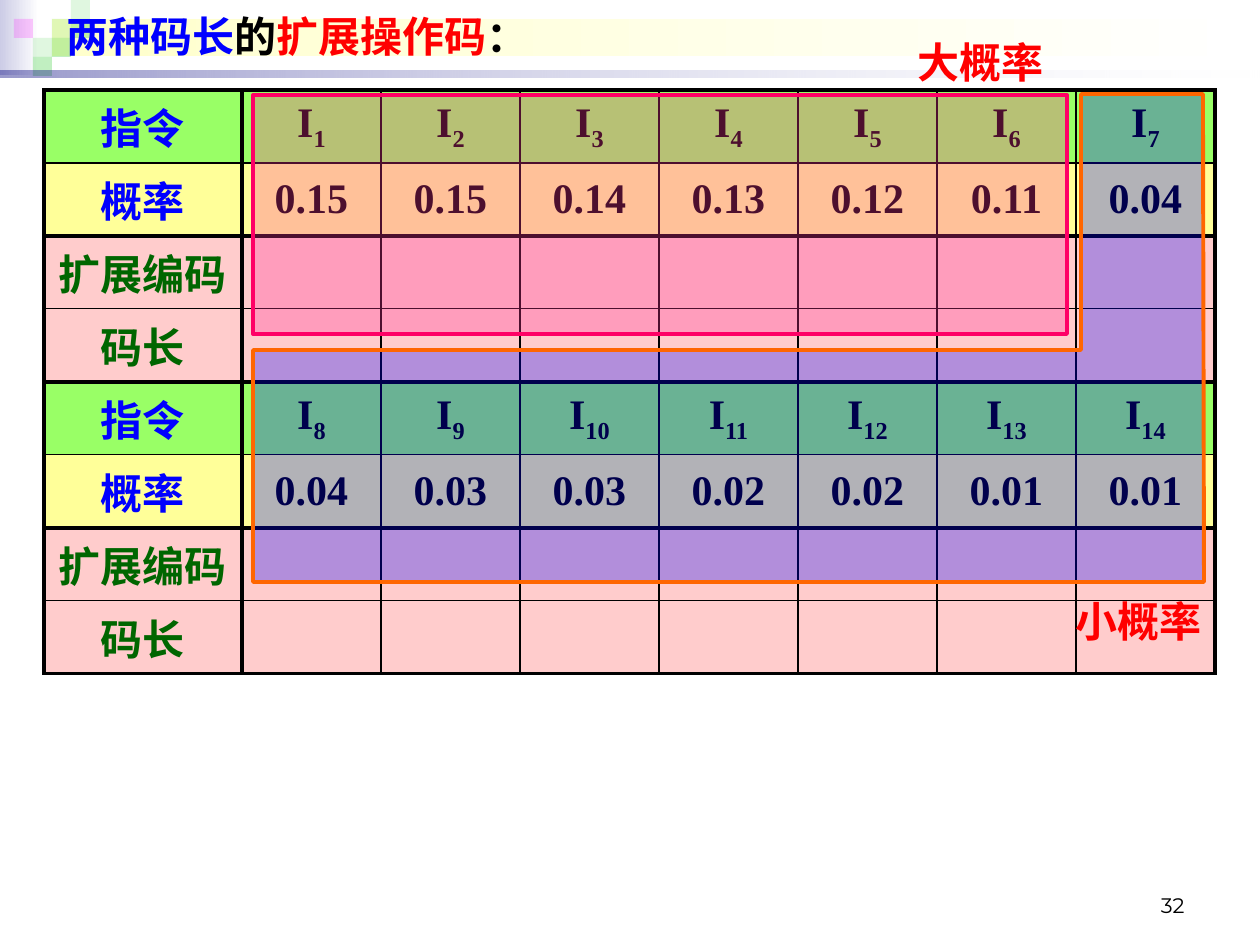
import pptx
import pptx.dml.color
import pptx.enum.shapes
import pptx.enum.text
import pptx.oxml
import pptx.oxml.ns
import pptx.util

SCALE = 914400 / 126
COLORS = {
    "blue": "0000FF", "red": "FF0000", "black": "000000", "white": "FFFFFF",
    "green": "006600", "lime": "99FF66", "yellow": "FFFF99", "pink": "FFCCCC",
    "leaf": "33CC33", "violet": "FF00FF", "haze": "CCCCE6", "cream": "FFFFCC",
    "navy": "00007D", "orange": "FF6600", "rose": "FF3399", "crimson": "FF0066",
}
SERIF = "Times New Roman"
ALIGN = pptx.enum.text.PP_ALIGN
ANCHOR = pptx.enum.text.MSO_ANCHOR

# Label, label colour and fill of the four rows in each half of the table
KINDS = [("指令", "blue", "lime"), ("概率", "blue", "yellow"),
         ("扩展编码", "green", "pink"), ("码长", "green", "pink")]
ODDS = ["0.15", "0.15", "0.14", "0.13", "0.12", "0.11", "0.04",
        "0.04", "0.03", "0.03", "0.02", "0.02", "0.01", "0.01"]
COLS = 7
THICK, MID, THIN = 2.25, 1, 0.75

# Small squares in the header: left, top, colour, opacity
TILES = [(52, 19, "leaf", 15), (71, 0, "leaf", 15), (71, 19, "leaf", 30),
         (33, 38, "leaf", 15), (14, 19, "violet", 20), (52, 38, "leaf", 30),
         (33, 57, "leaf", 30)]


def px(n):
    return pptx.util.Emu(round(n * SCALE))


def rgb(name):
    return pptx.dml.color.RGBColor.from_string(COLORS[name])


def fade(node, alpha):
    """Set the opacity, in percent, of the colour inside node."""
    color = next(node.iter(pptx.oxml.ns.qn("a:srgbClr")))
    color.append(pptx.oxml.parse_xml(
        f'<a:alpha {pptx.oxml.ns.nsdecls("a")} val="{alpha * 1000}"/>'))


def paint(shape, color, alpha=100, line=None):
    shape.shadow.inherit = False
    shape.fill.solid()
    shape.fill.fore_color.rgb = rgb(color)
    if alpha < 100:
        fade(shape.fill._xPr, alpha)
    if line:
        shape.line.color.rgb = rgb(line)
        shape.line.width = pptx.util.Pt(THICK)
    else:
        shape.line.fill.background()


def add_rect(slide, box, color, **style):
    shape = slide.shapes.add_shape(
        pptx.enum.shapes.MSO_SHAPE.RECTANGLE, *map(px, box))
    paint(shape, color, **style)
    return shape


def add_fade(slide, box, start, alphas=None):
    """Add a bar that runs from the start colour to white."""
    shape = add_rect(slide, box, start)
    shape.fill.gradient()
    shape.fill.gradient_angle = 0
    for i, (stop, name) in enumerate(
            zip(shape.fill.gradient_stops, (start, "white"))):
        stop.position = i
        stop.color.rgb = rgb(name)
        if alphas:
            fade(stop._gs, alphas[i])


def write(frame, runs, size=24, font=SERIF, bold=True, align=ALIGN.LEFT):
    """Fill the first paragraph with (text, colour, baseline) runs."""
    para = frame.paragraphs[0]
    para.alignment = align
    para.space_before = pptx.util.Pt(0)
    for text, color, base in runs:
        run = para.add_run()
        run.text = text
        run.font.size = pptx.util.Pt(size)
        run.font.name = font
        run.font.bold = bold
        run.font.color.rgb = rgb(color)
        if base:
            run._r.get_or_add_rPr().set("baseline", str(base * 1000))


def add_text(slide, box, runs, anchor=ANCHOR.TOP, **style):
    frame = slide.shapes.add_textbox(*map(px, box)).text_frame
    frame.word_wrap = True
    frame.vertical_anchor = anchor
    write(frame, runs, **style)


def add_edges(cell, widths):
    props = cell._tc.get_or_add_tcPr()
    for side, width in zip("LRTB", widths):
        props.append(pptx.oxml.parse_xml(
            f'<a:ln{side} {pptx.oxml.ns.nsdecls("a")} w="{pptx.util.Pt(width)}">'
            f'<a:solidFill><a:srgbClr val="{COLORS["black"]}"/></a:solidFill>'
            f'</a:ln{side}>'))


def cell_runs(row, col):
    half, kind = divmod(row, len(KINDS))
    if col == 0:
        label, color, _ = KINDS[kind]
        return [(label, color, 0)]
    num = half * COLS + col
    if kind == 0:
        return [("I", "black", 0), (str(num), "black", -25)]
    if kind == 1:
        return [(ODDS[num - 1], "black", 0)]
    return []


def add_grid(slide):
    rows = 2 * len(KINDS)
    table = slide.shapes.add_table(
        rows, COLS + 1, px(44), px(90), px(1171), px(73 * rows)).table
    table.first_row = table.horz_banding = False
    for col, column in enumerate(table.columns):
        column.width = px(139 if col else 198)
    for row in range(rows):
        table.rows[row].height = px(73)
        ends = (THIN, THICK) if row % 2 else (THICK, THIN)
        for col in range(COLS + 1):
            cell = table.cell(row, col)
            left = THICK if col < 2 else MID
            right = THICK if col in (0, COLS) else MID
            add_edges(cell, (left, right, *ends))
            cell.fill.solid()
            cell.fill.fore_color.rgb = rgb(KINDS[row % len(KINDS)][2])
            cell.vertical_anchor = ANCHOR.MIDDLE
            write(cell.text_frame, cell_runs(row, col), align=ALIGN.CENTER)


def add_zone(slide, points, color, **style):
    pen = slide.shapes.build_freeform(*points[0], scale=SCALE)
    pen.add_line_segments(points[1:], close=True)
    paint(pen.convert_to_shape(), color, **style)


def main():
    deck = pptx.Presentation()
    deck.slide_width, deck.slide_height = px(1260), px(945)
    slide = deck.slides.add_slide(deck.slide_layouts[6])

    # Header decoration
    add_fade(slide, (0, 0, 39, 75), "haze")
    add_fade(slide, (52, 19, 1203, 37), "cream")
    for left, top, color, alpha in TILES:
        add_rect(slide, (left, top, 19, 19), color, alpha=alpha)
    add_fade(slide, (0, 71, 1260, 7), "navy", alphas=(40, 10))

    # Page number and title
    add_text(slide, (903, 861, 294, 63), [("32", "black", 0)], size=12,
             font="Montserrat", bold=False, align=ALIGN.RIGHT,
             anchor=ANCHOR.BOTTOM)
    add_text(slide, (54, 4, 1171, 79),
             [("两种码长", "blue", 0), ("的", "black", 0),
              ("扩展操作码", "red", 0), ("：", "black", 0)])

    add_grid(slide)

    # Low and high probability zones
    add_zone(slide, [(1081, 94), (1203, 94), (1204, 582), (253, 582),
                     (253, 350), (1081, 350)],
             "blue", alpha=30, line="orange")
    add_rect(slide, (253, 95, 814, 239), "rose", alpha=30, line="crimson")
    for left, top, text in ((848, 30, "大概率"), (1006, 589, "小概率")):
        add_text(slide, (left, top, 208, 63), [(text, "red", 0)],
                 align=ALIGN.RIGHT)

    deck.save("out.pptx")


if __name__ == "__main__":
    main()
